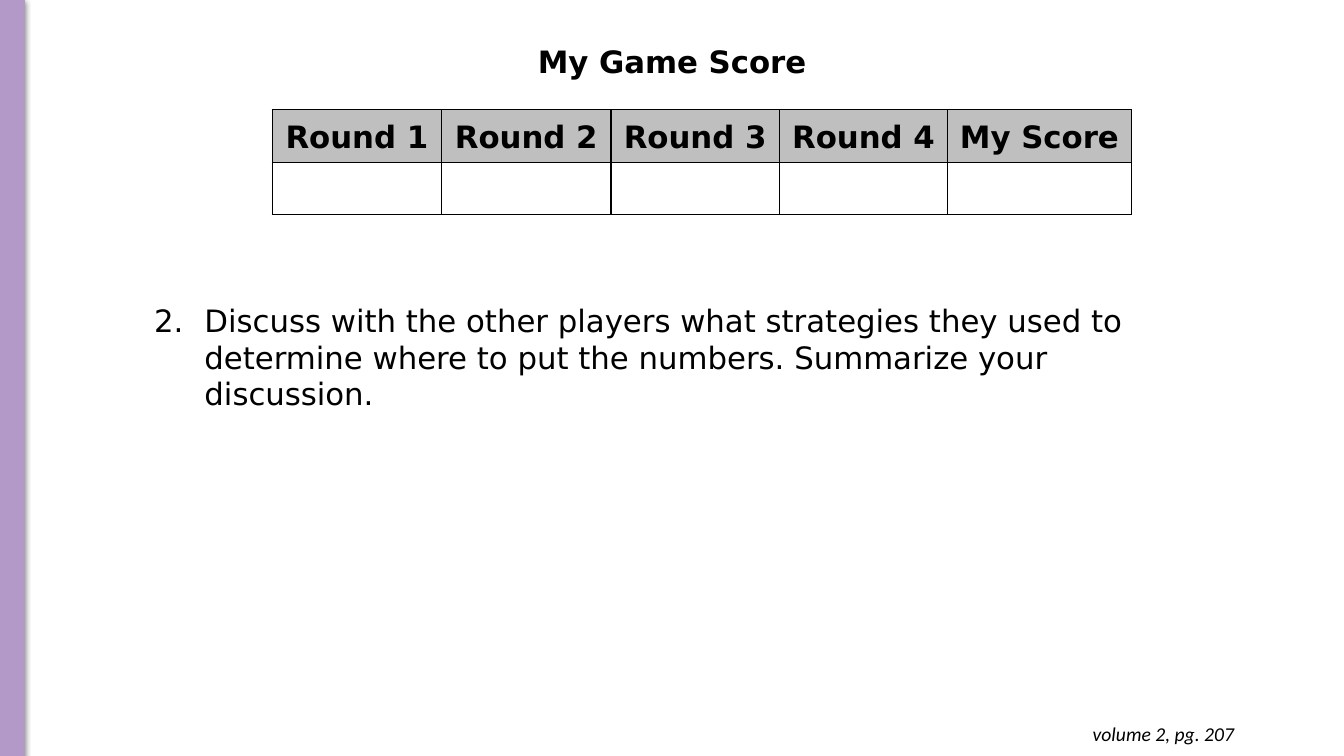
from lxml import etree
from pptx import Presentation
from pptx.dml.color import RGBColor
from pptx.enum import shapes, text
from pptx.oxml import parse_xml
from pptx.oxml.ns import nsdecls, qn
from pptx.util import Inches, Pt

COLORS = {"ink": "000000", "bar": "B399C8", "header": "BFBFBF"}
FONT = "DejaVu Sans"


def add_run(para, words, size=22, name=FONT, bold=False, italic=False):
    span = para.add_run()
    span.text = words
    span.font.size = Pt(size)
    span.font.name = name
    span.font.bold = bold
    span.font.italic = italic
    span.font.color.rgb = RGBColor.from_string(COLORS["ink"])


deck = Presentation()
deck.slide_width, deck.slide_height = Inches(13.33), Inches(7.5)
page = deck.slides.add_slide(deck.slide_layouts[5])

# Purple side bar with a soft shadow
bar = page.shapes.add_shape(shapes.MSO_SHAPE.RECTANGLE, 0, 0, Inches(0.24), Inches(7.51))
bar.fill.solid()
bar.fill.fore_color.rgb = RGBColor.from_string(COLORS["bar"])
bar.line.color.rgb = RGBColor.from_string(COLORS["bar"])
bar.line.width = Pt(0.75)
bar.shadow.inherit = False
bar.element.spPr.find(qn("a:effectLst")).append(parse_xml(
    f'<a:outerShdw {nsdecls("a")} blurRad="{Pt(4.5)}" dist="{Pt(1.5)}" dir="5400000" rotWithShape="0">'
    f'<a:srgbClr val="{COLORS["ink"]}"><a:alpha val="50000"/></a:srgbClr></a:outerShdw>'))

# Title
title = page.shapes.title
title.left, title.top = Inches(1.43), Inches(0.37)
title.width, title.height = Inches(10.47), Inches(0.5)
title.text_frame.vertical_anchor = text.MSO_ANCHOR.TOP
title.text_frame.auto_size = text.MSO_AUTO_SIZE.NONE
para = title.text_frame.paragraphs[0]
para.alignment = text.PP_ALIGN.CENTER
add_run(para, "My Game Score", bold=True)

# Score table
headings = ["Round 1", "Round 2", "Round 3", "Round 4", "My Score"]
widths = [1.68, 1.68, 1.67, 1.67, 1.82]
frame = page.shapes.add_table(2, len(headings), Inches(2.7), Inches(1.09), Inches(8.52), Inches(1.03))
table = frame.table
table.first_row = table.horz_banding = False
for column, width in zip(table.columns, widths):
    column.width = Inches(width)
for row_number, row in enumerate(table.rows):
    row.height = Inches(0.52)
    for cell, heading in zip(row.cells, headings):
        cell_props = cell._tc.get_or_add_tcPr()
        for side in ("lnL", "lnR", "lnT", "lnB"):
            border = etree.SubElement(cell_props, qn(f"a:{side}"), w=str(Pt(1)))
            paint = etree.SubElement(border, qn("a:solidFill"))
            etree.SubElement(paint, qn("a:srgbClr"), val=COLORS["ink"])
        if row_number:
            cell.fill.background()
            continue
        cell.fill.solid()
        cell.fill.fore_color.rgb = RGBColor.from_string(COLORS["header"])
        cell.vertical_anchor = text.MSO_ANCHOR.MIDDLE
        cell.margin_left = cell.margin_right = Inches(0.07)
        cell.margin_top = cell.margin_bottom = 0
        para = cell.text_frame.paragraphs[0]
        para.alignment = text.PP_ALIGN.CENTER
        para.line_spacing = 1.07
        add_run(para, heading, bold=True)

# Numbered question
question = page.shapes.add_textbox(Inches(1.43), Inches(2.94), Inches(10.47), Inches(1.23))
question.text_frame.word_wrap = True
para = question.text_frame.paragraphs[0]
para_props = para._p.get_or_add_pPr()
para_props.set("marL", str(Inches(0.5)))
para_props.set("indent", str(Inches(-0.5)))
bullet_color = etree.SubElement(para_props, qn("a:buClr"))
etree.SubElement(bullet_color, qn("a:srgbClr"), val=COLORS["ink"])
etree.SubElement(para_props, qn("a:buFont"), typeface=FONT)
etree.SubElement(para_props, qn("a:buAutoNum"), type="arabicPeriod", startAt="2")
add_run(para, "Discuss with the other players what strategies they used to determine "
              "where to put the numbers. Summarize your discussion.")

# Page reference
reference = page.shapes.add_textbox(Inches(9.46), Inches(7.06), Inches(2.88), Inches(0.44))
reference.text_frame.word_wrap = True
reference.text_frame.margin_top = reference.text_frame.margin_bottom = Inches(0.1)
para = reference.text_frame.paragraphs[0]
para.alignment = text.PP_ALIGN.RIGHT
add_run(para, "volume 2, pg. 207", size=14, name="Calibri", italic=True)

deck.save("out.pptx")
